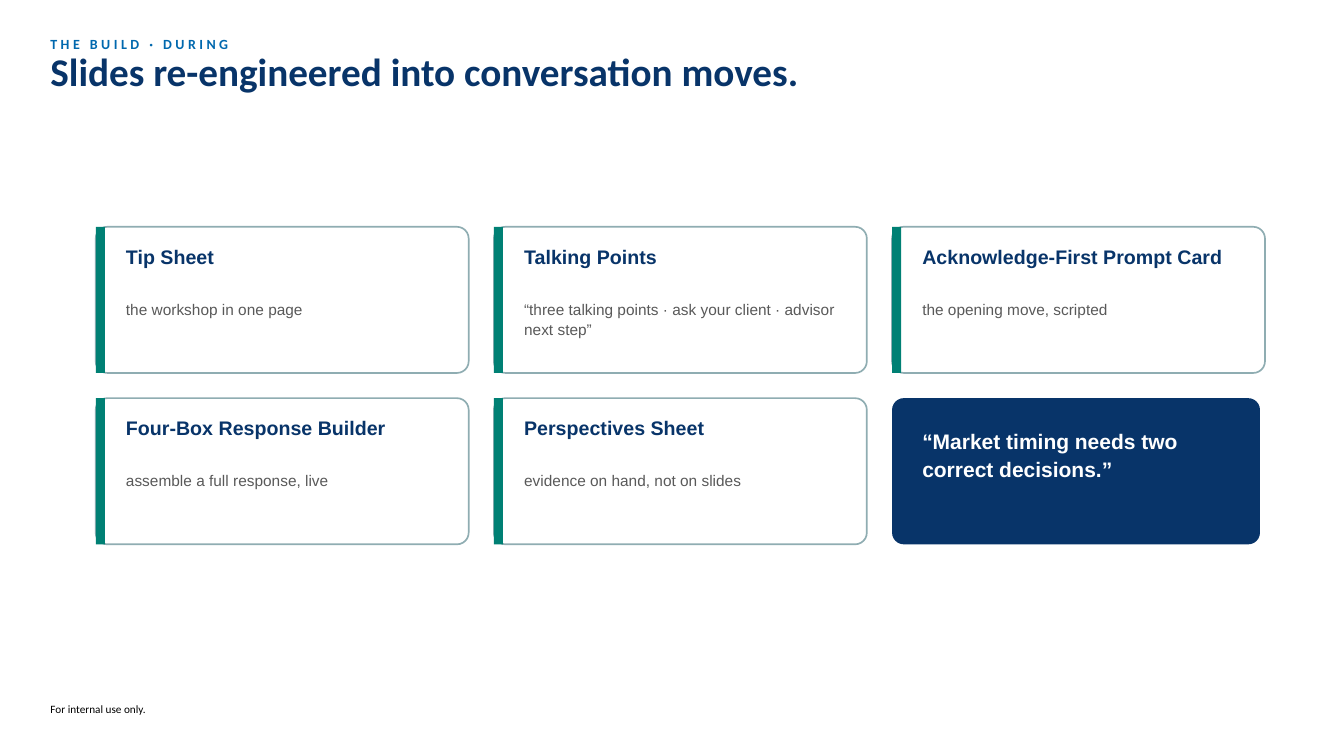
from dataclasses import dataclass

from pptx import Presentation
from pptx.dml.color import RGBColor
from pptx.enum.shapes import MSO_SHAPE
from pptx.enum.text import MSO_ANCHOR, MSO_AUTO_SIZE, PP_ALIGN
from pptx.util import Pt


@dataclass(frozen=True)
class Theme:
    heading_font: str = "Calibri"
    body_font: str = "Arial"
    navy: str = "083469"
    blue: str = "0068AE"
    teal: str = "008074"
    border: str = "8FADB2"
    grey: str = "595959"
    white: str = "FFFFFF"
    black: str = "000000"
    title_size: float = 28
    quote_size: float = 15
    card_size: float = 14
    detail_size: float = 11
    eyebrow_size: float = 10
    footer_size: float = 8
    border_width: float = 1.2
    corner: float = 0.08


class SlideBuilder:
    def __init__(self, slide, theme):
        self.slide = slide
        self.theme = theme

    def set_text(self, shape, text, font, size, color, bold=False, spacing=1.0,
                 anchor=MSO_ANCHOR.TOP, tracking=0):
        frame = shape.text_frame
        frame.word_wrap = True
        frame.auto_size = MSO_AUTO_SIZE.NONE
        frame.vertical_anchor = anchor
        frame.margin_left = frame.margin_right = 0
        frame.margin_top = frame.margin_bottom = 0
        paragraph = frame.paragraphs[0]
        paragraph.alignment = PP_ALIGN.LEFT
        paragraph.line_spacing = spacing
        run = paragraph.add_run()
        run.text = text
        run.font.name = font
        run.font.size = Pt(size)
        run.font.bold = bold
        run.font.color.rgb = RGBColor.from_string(color)
        if tracking:
            run._r.get_or_add_rPr().set("spc", str(round(tracking * 100)))

    def title(self, text, left, top, width, height):
        title = self.slide.shapes.title
        title.left, title.top = Pt(left), Pt(top)
        title.width, title.height = Pt(width), Pt(height)
        self.set_text(title, text, self.theme.heading_font, self.theme.title_size,
                      self.theme.navy, bold=True, spacing=0.95)

    def text(self, text, left, top, width, height, **style):
        box = self.slide.shapes.add_textbox(Pt(left), Pt(top), Pt(width), Pt(height))
        self.set_text(box, text, **style)

    def panel(self, kind, left, top, width, height, fill, border=None):
        shape = self.slide.shapes.add_shape(
            kind, Pt(left), Pt(top), Pt(width), Pt(height))
        shape.shadow.inherit = False
        shape.fill.solid()
        shape.fill.fore_color.rgb = RGBColor.from_string(fill)
        if kind == MSO_SHAPE.ROUNDED_RECTANGLE:
            shape.adjustments[0] = self.theme.corner
        if border:
            shape.line.color.rgb = RGBColor.from_string(border)
            shape.line.width = Pt(self.theme.border_width)
        else:
            shape.line.fill.background()

    def card(self, heading, detail, left, top, width, height):
        theme = self.theme
        self.panel(MSO_SHAPE.ROUNDED_RECTANGLE, left, top, width, height,
                   theme.white, theme.border)
        self.panel(MSO_SHAPE.RECTANGLE, left, top, 6.5, height, theme.teal)
        self.text(heading, left + PADDING, top + 13, 237.6, 36, font=theme.body_font,
                  size=theme.card_size, color=theme.navy, bold=True)
        self.text(detail, left + PADDING, top + 51.8, 237.6, 46.8, font=theme.body_font,
                  size=theme.detail_size, color=theme.grey, spacing=1.05)

    def quote(self, text, left, top, width, height):
        theme = self.theme
        self.panel(MSO_SHAPE.ROUNDED_RECTANGLE, left, top, width, height, theme.navy)
        self.text(text, left + PADDING, top + 20.2, 223.2, 64.8, font=theme.body_font,
                  size=theme.quote_size, color=theme.white, bold=True, spacing=1.1)


MARGIN = 36
GRID_LEFT, GRID_TOP = 68.4, 162
CARD_WIDTH, CARD_HEIGHT = 266.4, 104.4
QUOTE_WIDTH = 262.8
GAP = 18
COLUMNS = 3
PADDING = 21.6

CARDS = [
    ("Tip Sheet", "the workshop in one page"),
    ("Talking Points", "“three talking points · ask your client · advisor next step”"),
    ("Acknowledge-First Prompt Card", "the opening move, scripted"),
    ("Four-Box Response Builder", "assemble a full response, live"),
    ("Perspectives Sheet", "evidence on hand, not on slides"),
]


def grid_position(index):
    row, column = divmod(index, COLUMNS)
    return GRID_LEFT + column * (CARD_WIDTH + GAP), GRID_TOP + row * (CARD_HEIGHT + GAP)


def main():
    deck = Presentation()
    deck.slide_width, deck.slide_height = Pt(960), Pt(540)
    theme = Theme()
    builder = SlideBuilder(deck.slides.add_slide(deck.slide_layouts[5]), theme)

    builder.text("For internal use only.", MARGIN, 496.8, 435.6, 14.4,
                 font=theme.heading_font, size=theme.footer_size, color=theme.black,
                 anchor=MSO_ANCHOR.BOTTOM)
    builder.title("Slides re-engineered into conversation moves.", MARGIN, 36, 888, 44.6)
    builder.text("THE BUILD · DURING", MARGIN, 24.5, 443.5, 11.5,
                 font=theme.heading_font, size=theme.eyebrow_size, color=theme.blue,
                 bold=True, spacing=1.1, tracking=2.5)

    for index, (heading, detail) in enumerate(CARDS):
        builder.card(heading, detail, *grid_position(index), CARD_WIDTH, CARD_HEIGHT)
    builder.quote("“Market timing needs two correct decisions.”",
                  *grid_position(len(CARDS)), QUOTE_WIDTH, CARD_HEIGHT)

    deck.save("out.pptx")


main()
